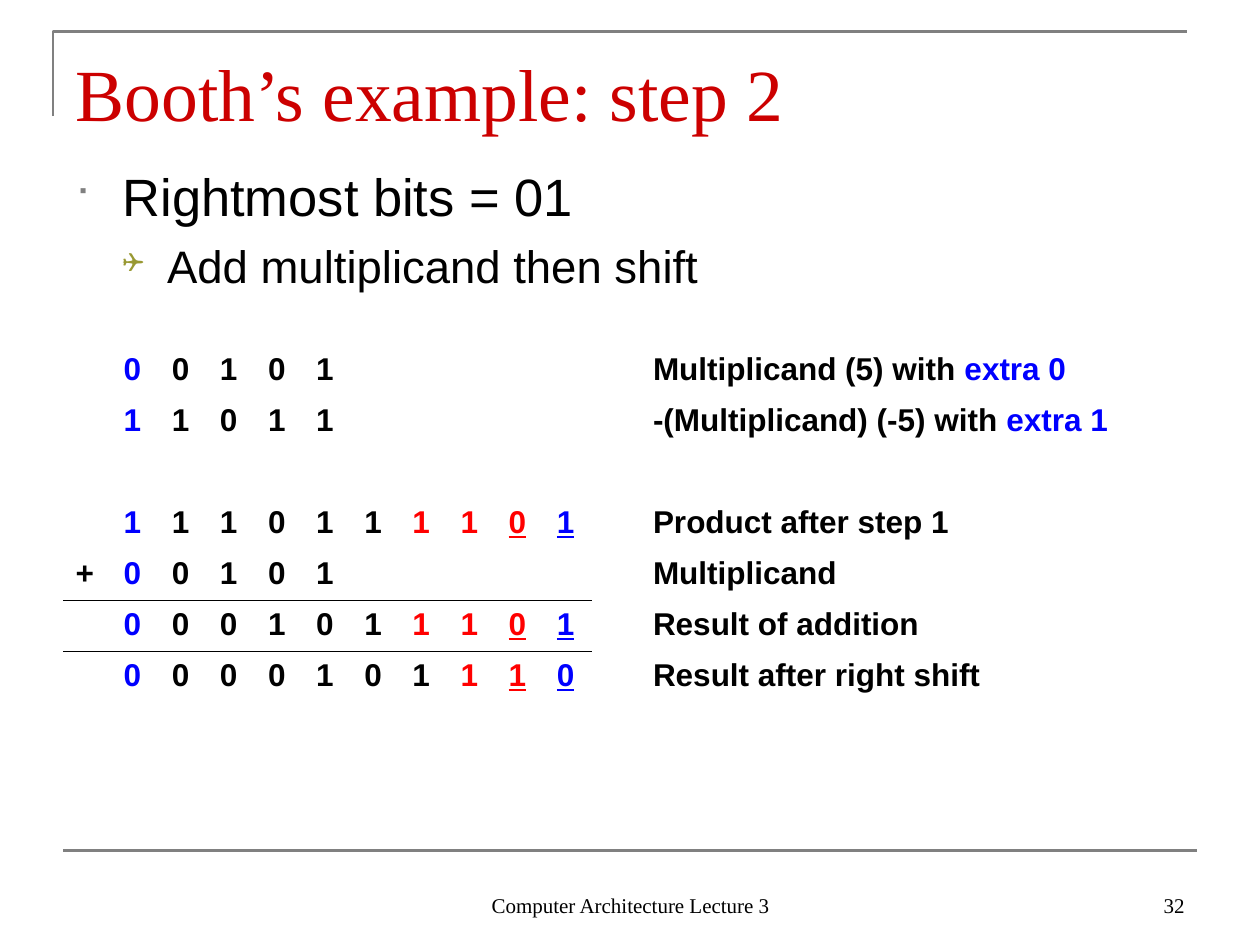
from dataclasses import dataclass

from lxml.etree import SubElement
from pptx import Presentation
from pptx.dml.color import RGBColor
from pptx.enum.text import MSO_ANCHOR, MSO_AUTO_SIZE, PP_ALIGN
from pptx.oxml import parse_xml
from pptx.oxml.ns import nsdecls, qn
from pptx.util import Cm, Pt

BLACK, BLUE, RED, GRAY = "000000", "0000FF", "FF0000", "808080"
SERIF, SANS = "Times New Roman", "Arial"
PLAIN_STYLE = "{2D5ABB26-0587-4C30-8999-92F81FD0307C}"
SIDE, NOTE_COL, RULED_ROW = 0.97, 12, 4


@dataclass
class Line:
    bits: str = ""
    note: str = ""
    extra: str = ""
    sign: str = ""
    red: int = 10


@dataclass
class Point:
    text: str
    mark: str
    tint: str
    scale: int
    size: int
    left: float
    hang: float
    gap: float


LINES = [
    Line("00101", "Multiplicand (5) with ", "extra 0"),
    Line("11011", "-(Multiplicand) (-5) with ", "extra 1"),
    Line(),
    Line("1110111101", "Product after step 1", red=6),
    Line("00101", "Multiplicand", sign="+"),
    Line("0001011101", "Result of addition", red=6),
    Line("0000101110", "Result after right shift", red=7),
]
POINTS = [
    Point("Rightmost bits = 01", "■", GRAY, 65, 30, 0.95, 0.95, 0),
    Point("Add multiplicand then shift", "❑", "999933", 60, 26, 1.85, 0.9, 6.5),
]


def tone(code: str) -> RGBColor:
    return RGBColor.from_string(code)


def write(para, text: str, *, size: float = 18, face: str = SANS, color: str = BLACK,
          bold: bool = False, under: bool = False, align=PP_ALIGN.LEFT) -> None:
    para.alignment = align
    run = para.add_run()
    run.text = text
    font = run.font
    font.size, font.name, font.bold = Pt(size), face, bold
    font.color.rgb = tone(color)
    if under:
        font.underline = True


def place(shape, left: float, top: float, width: float, height: float, anchor):
    shape.left, shape.top = Cm(left), Cm(top)
    shape.width, shape.height = Cm(width), Cm(height)
    frame = shape.text_frame
    frame.word_wrap = True
    frame.auto_size = MSO_AUTO_SIZE.NONE
    frame.vertical_anchor = anchor
    return frame


def add_box(slide, left: float, top: float, width: float, height: float, anchor):
    shape = slide.shapes.add_textbox(0, 0, 0, 0)
    return place(shape, left, top, width, height, anchor)


def draw_frame(slide) -> None:
    builder = slide.shapes.build_freeform(Cm(1.07), Cm(2.34))
    builder.add_line_segments([(Cm(1.07), Cm(0.64)), (Cm(23.93), Cm(0.64))], close=False)
    edge = builder.convert_to_shape()
    edge.shadow.inherit = False
    edge.fill.background()
    base = slide.shapes.add_connector(1, Cm(1.27), Cm(17.15), Cm(24.13), Cm(17.15))
    SubElement(base._element.spPr, qn("a:effectLst"))
    for shape in (edge, base):
        shape.line.color.rgb = tone(GRAY)
        shape.line.width = Pt(1.5)


def draw_points(slide) -> None:
    frame = add_box(slide, 1.27, 3.18, 22.86, 2.97, MSO_ANCHOR.TOP)
    for rank, point in enumerate(POINTS):
        para = frame.add_paragraph() if rank else frame.paragraphs[0]
        para.level = rank
        props = para._p.get_or_add_pPr()
        props.set("marL", str(Cm(point.left)))
        props.set("indent", str(-Cm(point.hang)))
        tint = SubElement(props, qn("a:buClr"))
        SubElement(tint, qn("a:srgbClr"), val=point.tint)
        SubElement(props, qn("a:buSzPct"), val=str(point.scale * 1000))
        SubElement(props, qn("a:buFont"), typeface="Wingdings")
        SubElement(props, qn("a:buChar"), char=point.mark)
        para.space_before = Pt(point.gap)
        write(para, point.text, size=point.size)


def rule(cell, side: str) -> None:
    cell._tc.get_or_add_tcPr().insert(0, parse_xml(
        f'<a:{side} {nsdecls("a")} w="5715"><a:solidFill><a:srgbClr val="{BLACK}"/>'
        f'</a:solidFill></a:{side}>'))


def fill_line(cells, line: Line) -> None:
    if line.sign:
        write(cells[0].text_frame.paragraphs[0], line.sign, bold=True)
    for spot, bit in enumerate(line.bits):
        color = BLUE if spot in (0, 9) else RED if spot >= line.red else BLACK
        write(cells[spot + 1].text_frame.paragraphs[0], bit, color=color,
              bold=True, under=spot >= 8)
    para = cells[NOTE_COL].text_frame.paragraphs[0]
    for text, color in ((line.note, BLACK), (line.extra, BLUE)):
        if text:
            write(para, text, color=color, bold=True)


def draw_table(slide) -> None:
    table = slide.shapes.add_table(len(LINES), NOTE_COL + 1, Cm(1.27), Cm(6.96),
                                   Cm(21.89), Cm(7.21)).table
    table.first_row = table.horz_banding = False
    table._tbl.tblPr.find(qn("a:tableStyleId")).text = PLAIN_STYLE
    for spot, col in enumerate(table.columns):
        col.width = Cm(10.25 if spot == NOTE_COL else SIDE)
    for rank, line in enumerate(LINES):
        table.rows[rank].height = Cm(1.03)
        cells = list(table.rows[rank].cells)
        for cell in cells:
            cell.fill.background()
        fill_line(cells, line)
    for spot in range(NOTE_COL - 1):
        rule(table.cell(RULED_ROW, spot), "lnB")
        rule(table.cell(RULED_ROW + 1, spot), "lnT")


def main() -> None:
    deck = Presentation()
    deck.slide_width, deck.slide_height = Cm(25.4), Cm(19.05)
    slide = deck.slides.add_slide(deck.slide_layouts[5])
    draw_frame(slide)
    head = place(slide.shapes.title, 1.27, 0.76, 22.86, 1.98, MSO_ANCHOR.BOTTOM)
    head.margin_top = head.margin_bottom = 0
    write(head.paragraphs[0], "Booth’s example: step 2", size=42, face=SERIF, color="CC0000")
    draw_points(slide)
    foot = add_box(slide, 8.69, 17.35, 8.05, 1.27, MSO_ANCHOR.BOTTOM)
    write(foot.paragraphs[0], "Computer Architecture Lecture 3", size=12, face=SERIF,
          align=PP_ALIGN.CENTER)
    page = add_box(slide, 18.21, 17.35, 5.92, 1.27, MSO_ANCHOR.BOTTOM)
    write(page.paragraphs[0], "32", size=12, face=SERIF, align=PP_ALIGN.RIGHT)
    draw_table(slide)
    deck.save("out.pptx")


if __name__ == "__main__":
    main()
